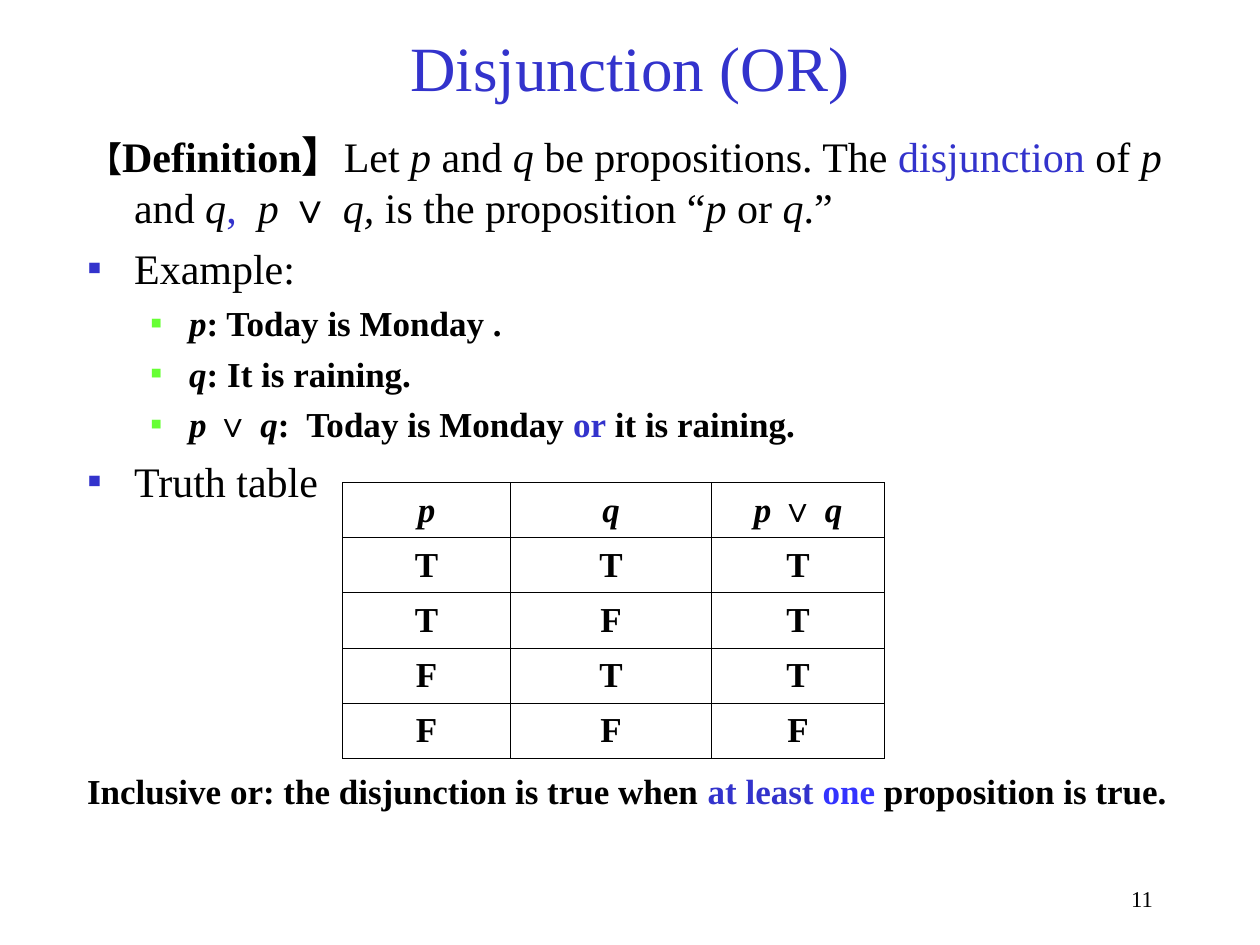
import lxml.etree
import pptx
import pptx.dml.color
import pptx.enum.text
import pptx.oxml.ns
import pptx.util
from pptx.util import Cm

COLORS = {"text": "000000", "accent": "3333CC", "bright": "3333FF",
          "sub_bullet": "66FF33", "paper": "FFFFFF"}
ALIGN = pptx.enum.text.PP_ALIGN
ANCHOR = pptx.enum.text.MSO_ANCHOR
qn = pptx.oxml.ns.qn


def add_text(paragraph, text, size=24, color="text", bold=False, italic=False,
             font="Times New Roman"):
    run = paragraph.add_run()
    run.text = text
    run.font.name = font
    run.font.size = pptx.util.Pt(size)
    run.font.bold = bold
    run.font.italic = italic
    run.font.color.rgb = pptx.dml.color.RGBColor.from_string(COLORS[color])


def add_xml(parent, tag, **attributes):
    return lxml.etree.SubElement(parent, qn(tag), attributes)


presentation = pptx.Presentation()
presentation.slide_width = Cm(25.4)
presentation.slide_height = Cm(19.05)
slide = presentation.slides.add_slide(presentation.slide_layouts[1])

# Title
title = slide.shapes.title
title.left, title.top, title.width, title.height = Cm(1.9), Cm(0.33), Cm(21.6), Cm(2)
title.text_frame.auto_size = pptx.enum.text.MSO_AUTO_SIZE.NONE
title.text_frame.vertical_anchor = ANCHOR.MIDDLE
title.text_frame.paragraphs[0].alignment = ALIGN.CENTER
add_text(title.text_frame.paragraphs[0], "Disjunction (OR)", size=36, color="accent")

# Definition, example and conclusion
body = slide.placeholders[1]
body.left, body.top, body.width, body.height = Cm(1.5), Cm(2.51), Cm(22.63), Cm(14.94)
body.text_frame.auto_size = pptx.enum.text.MSO_AUTO_SIZE.NONE
body.text_frame.vertical_anchor = ANCHOR.TOP

ITALIC = {"italic": True}
ACCENT = {"color": "accent"}
STRONG = {"size": 20, "bold": True}
VARIABLE = {**STRONG, "italic": True}
OR_SIGN = {**STRONG, "font": "Arial"}
P_OR_Q = [("p ", VARIABLE), ("∨ ", OR_SIGN), ("q", VARIABLE)]

# kind, space before in points, runs
statements = [
    ("plain", 0, [
        ("【", STRONG), ("Definition】", {"bold": True}), ("Let ", {}), ("p ", ITALIC),
        ("and", {}), (" q ", ITALIC), ("be propositions. The ", {}),
        ("disjunction ", ACCENT), ("of ", {}), ("p ", ITALIC), ("and", {}),
        (" q", ITALIC), (",  ", ACCENT), ("p ", ITALIC),
        ("∨ ", {"bold": True, "font": "Arial"}), ("q, ", ITALIC),
        ("is the proposition “", {}), ("p", ITALIC), (" or ", {}), ("q", ITALIC),
        (".”", {})]),
    ("item", 6, [("Example:", {})]),
    ("subitem", 5, [("p", VARIABLE), (": Today is Monday .", STRONG)]),
    ("subitem", 5, [("q", VARIABLE), (": It is raining.", STRONG)]),
    ("subitem", 5, P_OR_Q + [
        (":  Today is Monday ", STRONG), ("or", {**STRONG, **ACCENT}),
        (" it is raining.", STRONG)]),
    ("item", 6, [("Truth table", {})]),
    ("plain", 151, [
        ("Inclusive or: the disjunction is true when ", STRONG),
        ("at least ", {**STRONG, **ACCENT}), ("one ", {**STRONG, "color": "bright"}),
        ("proposition is true.", STRONG)]),
]
# level, left margin, hanging indent, bullet colour
kinds = {"plain": (0, Cm(0.95), Cm(-0.95), None),
         "item": (0, Cm(0.95), Cm(-0.95), "accent"),
         "subitem": (1, Cm(2.06), Cm(-0.79), "sub_bullet")}

for number, (kind, space_before, runs) in enumerate(statements):
    statement = body.text_frame.add_paragraph() if number else body.text_frame.paragraphs[0]
    level, margin, indent, bullet_color = kinds[kind]
    statement.level = level
    statement.space_before = pptx.util.Pt(space_before)
    properties = statement._p.get_or_add_pPr()
    properties.set("marL", str(margin))
    properties.set("indent", str(indent))
    if bullet_color:
        add_xml(add_xml(properties, "a:buClr"), "a:srgbClr", val=COLORS[bullet_color])
        add_xml(properties, "a:buFont", typeface="Times New Roman")
        add_xml(properties, "a:buChar", char="▪")
    else:
        add_xml(properties, "a:buNone")
    for text, style in runs:
        add_text(statement, text, **style)

# Truth table
truth_rows = [[[("p", VARIABLE)], [("q", VARIABLE)], P_OR_Q]]
truth_rows += [[[(value, STRONG)] for value in values]
               for values in ("TTT", "TFT", "FTT", "FFF")]
column_widths = [Cm(3.38), Cm(4.06), Cm(3.48)]
row_height = Cm(1.11)
truth_table = slide.shapes.add_table(
    len(truth_rows), len(column_widths), Cm(6.91), Cm(9.73),
    sum(column_widths), row_height * len(truth_rows)).table
truth_table.first_row = False
truth_table.horz_banding = False
for column, width in zip(truth_table.columns, column_widths):
    column.width = width
for row, truth_row in enumerate(truth_rows):
    truth_table.rows[row].height = row_height
    for column, runs in enumerate(truth_row):
        cell = truth_table.cell(row, column)
        cell.vertical_anchor = ANCHOR.MIDDLE
        cell_properties = cell._tc.get_or_add_tcPr()
        for side in ("a:lnL", "a:lnR", "a:lnT", "a:lnB"):
            border = add_xml(cell_properties, side, w=str(pptx.util.Pt(0.45)))
            add_xml(add_xml(border, "a:solidFill"), "a:srgbClr", val=COLORS["text"])
        cell.fill.solid()
        cell.fill.fore_color.rgb = pptx.dml.color.RGBColor.from_string(COLORS["paper"])
        entry = cell.text_frame.paragraphs[0]
        entry.alignment = ALIGN.CENTER
        for text, style in runs:
            add_text(entry, text, **style)

# Page number
page_number = slide.shapes.add_textbox(Cm(19.48), Cm(17.78), Cm(4.01), Cm(0.84))
page_number.text_frame.word_wrap = True
page_line = page_number.text_frame.paragraphs[0]
page_line.alignment = ALIGN.RIGHT
page_line.line_spacing = 0.9
add_text(page_line, "11", size=12.9)

presentation.save("out.pptx")
